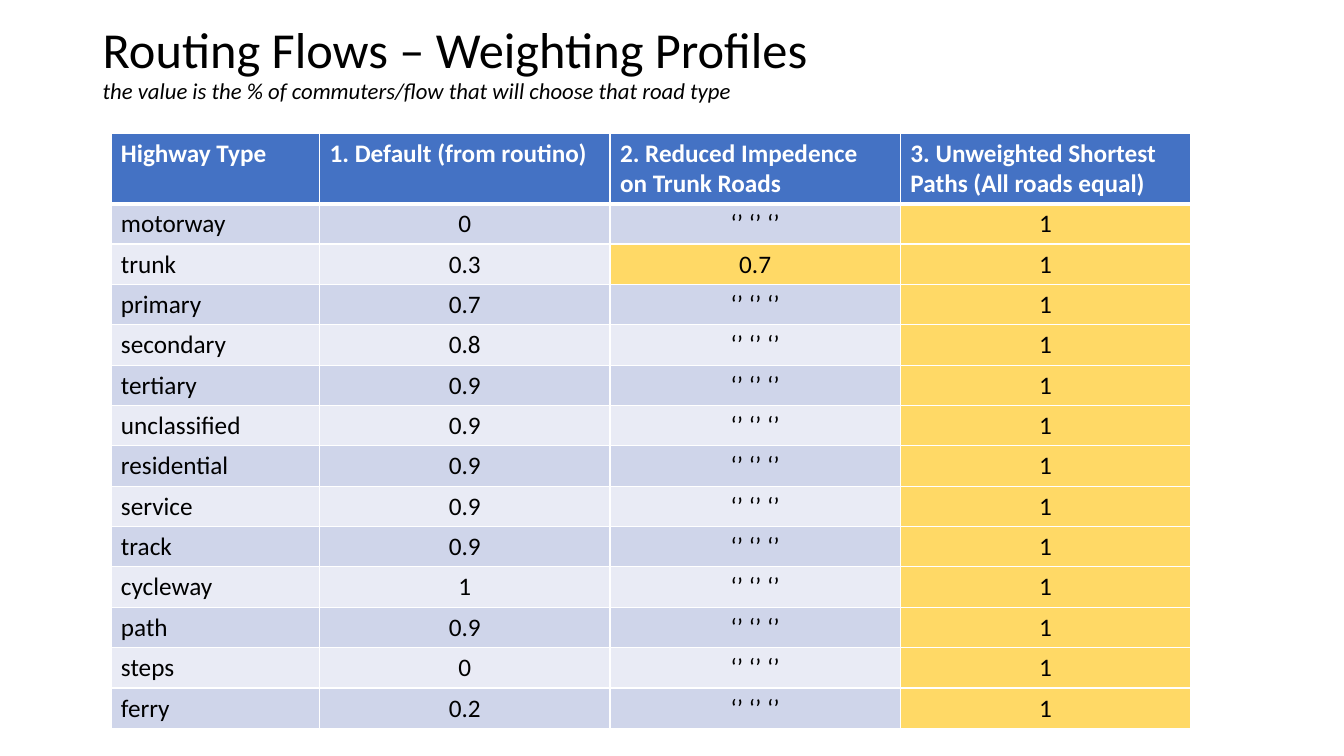
from dataclasses import dataclass

import lxml.etree
import pptx
import pptx.dml.color
import pptx.enum.text
import pptx.oxml.ns
import pptx.util

RGBColor = pptx.dml.color.RGBColor
Inches = pptx.util.Inches
Pt = pptx.util.Pt
ALIGN = pptx.enum.text.PP_ALIGN

BLACK = RGBColor(0x00, 0x00, 0x00)
WHITE = RGBColor(0xFF, 0xFF, 0xFF)
BLUE = RGBColor(0x44, 0x72, 0xC4)
DARK = RGBColor(0xCF, 0xD5, 0xEA)
LIGHT = RGBColor(0xE9, 0xEB, 0xF5)
GOLD = RGBColor(0xFF, 0xD9, 0x66)

FONT = "Calibri"
DITTO = "‘’ ‘’ ‘’"


@dataclass(frozen=True)
class Road:
    name: str
    base: str
    trunk: str = DITTO
    equal: str = "1"


@dataclass(frozen=True)
class Column:
    head: str
    width: float


COLUMNS = [
    Column("Highway Type", 2.07),
    Column("1. Default (from routino)", 2.88),
    Column("2. Reduced Impedence on Trunk Roads", 2.88),
    Column("3. Unweighted Shortest Paths (All roads equal)", 2.88),
]

ROADS = [
    Road("motorway", "0"),
    Road("trunk", "0.3", trunk="0.7"),
    Road("primary", "0.7"),
    Road("secondary", "0.8"),
    Road("tertiary", "0.9"),
    Road("unclassified", "0.9"),
    Road("residential", "0.9"),
    Road("service", "0.9"),
    Road("track", "0.9"),
    Road("cycleway", "1"),
    Road("path", "0.9"),
    Road("steps", "0"),
    Road("ferry", "0.2"),
]


def write(line, text: str, *, size: float = 18, color: RGBColor = BLACK,
          bold: bool = False, slant: bool = False,
          align: ALIGN = ALIGN.LEFT, space: float = 1.0) -> None:
    line.alignment = align
    line.line_spacing = space
    run = line.add_run()
    run.text = text
    font = run.font
    font.name = FONT
    font.size = Pt(size)
    font.bold = bold
    font.italic = slant
    font.color.rgb = color


def edge(cell, side: str, width: float) -> None:
    props = cell._tc.get_or_add_tcPr()
    tag = pptx.oxml.ns.qn
    line = lxml.etree.SubElement(props, tag(f"a:{side}"), w=str(Pt(width)))
    fill = lxml.etree.SubElement(line, tag("a:solidFill"))
    lxml.etree.SubElement(fill, tag("a:srgbClr"), val=str(WHITE))


def paint(cell, fill: RGBColor, top: float = 1, base: float = 1) -> None:
    for side, width in (("lnL", 1), ("lnR", 1), ("lnT", top), ("lnB", base)):
        edge(cell, side, width)
    cell.fill.solid()
    cell.fill.fore_color.rgb = fill


def add_title(slide) -> None:
    box = slide.shapes.add_textbox(Inches(0.92), Inches(0.2), Inches(11.5), Inches(0.9))
    frame = box.text_frame
    frame.word_wrap = True
    write(frame.paragraphs[0], "Routing Flows – Weighting Profiles", size=36, space=0.9)
    write(frame.add_paragraph(),
          "the value is the % of commuters/flow that will choose that road type",
          size=16.2, slant=True, space=0.9)


def add_grid(slide) -> None:
    width = sum(col.width for col in COLUMNS)
    high = 0.7 + 0.4 * len(ROADS)
    grid = slide.shapes.add_table(len(ROADS) + 1, len(COLUMNS), Inches(1.1),
                                  Inches(1.32), Inches(width), Inches(high)).table
    grid.rows[0].height = Inches(0.7)
    for c, col in enumerate(COLUMNS):
        grid.columns[c].width = Inches(col.width)
        cell = grid.cell(0, c)
        paint(cell, BLUE, base=3)
        write(cell.text_frame.paragraphs[0], col.head, color=WHITE, bold=True)
    for r, road in enumerate(ROADS, 1):
        grid.rows[r].height = Inches(0.4)
        band = DARK if r % 2 else LIGHT
        fills = [band, band, band if road.trunk == DITTO else GOLD, GOLD]
        texts = [road.name, road.base, road.trunk, road.equal]
        for c, (text, fill) in enumerate(zip(texts, fills)):
            cell = grid.cell(r, c)
            paint(cell, fill, top=3 if r == 1 else 1)
            write(cell.text_frame.paragraphs[0], text,
                  align=ALIGN.CENTER if c else ALIGN.LEFT)


def main() -> None:
    deck = pptx.Presentation()
    deck.slide_width = Inches(13.33)
    deck.slide_height = Inches(7.5)
    slide = deck.slides.add_slide(deck.slide_layouts[6])
    add_title(slide)
    add_grid(slide)
    deck.save("out.pptx")


if __name__ == "__main__":
    main()
